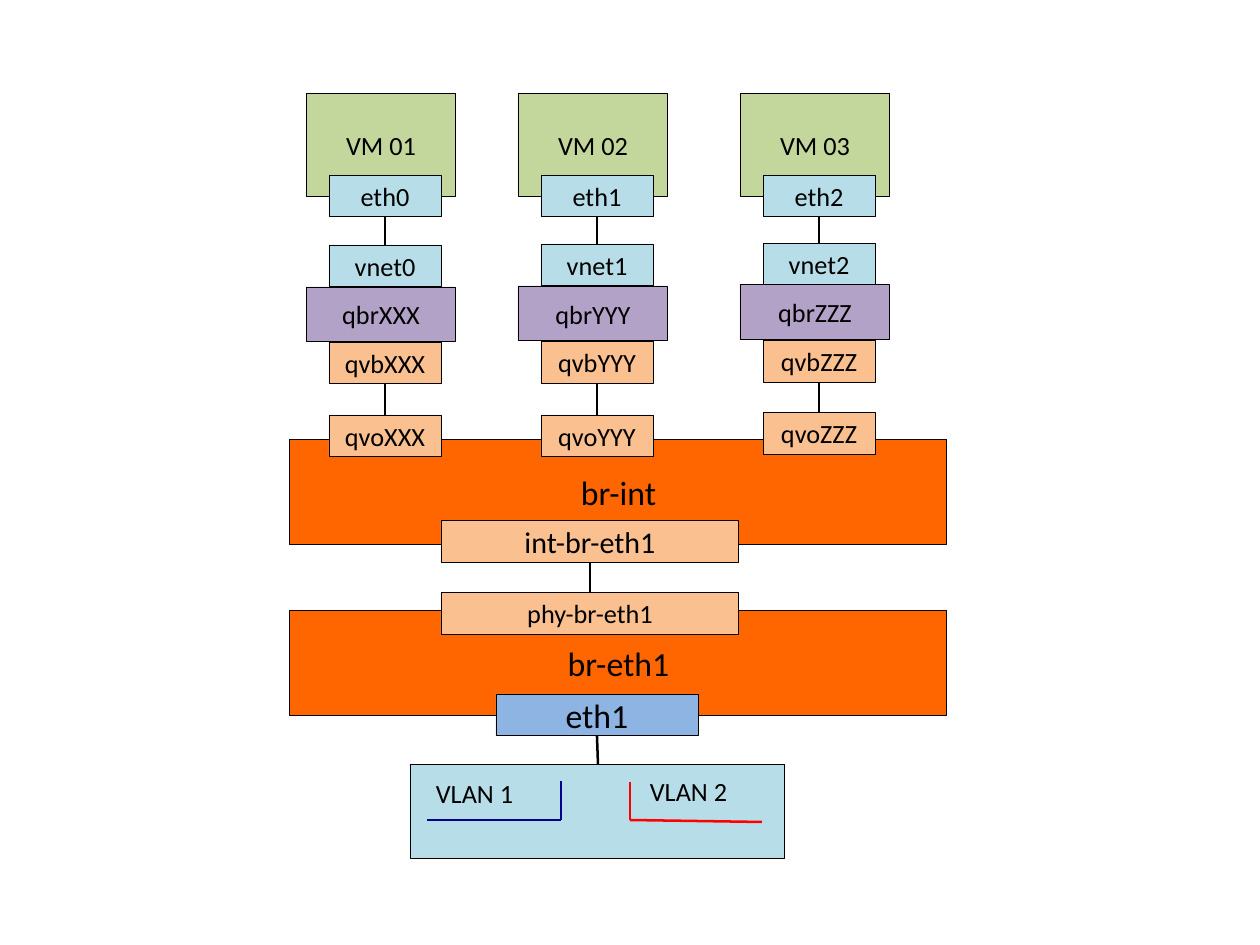
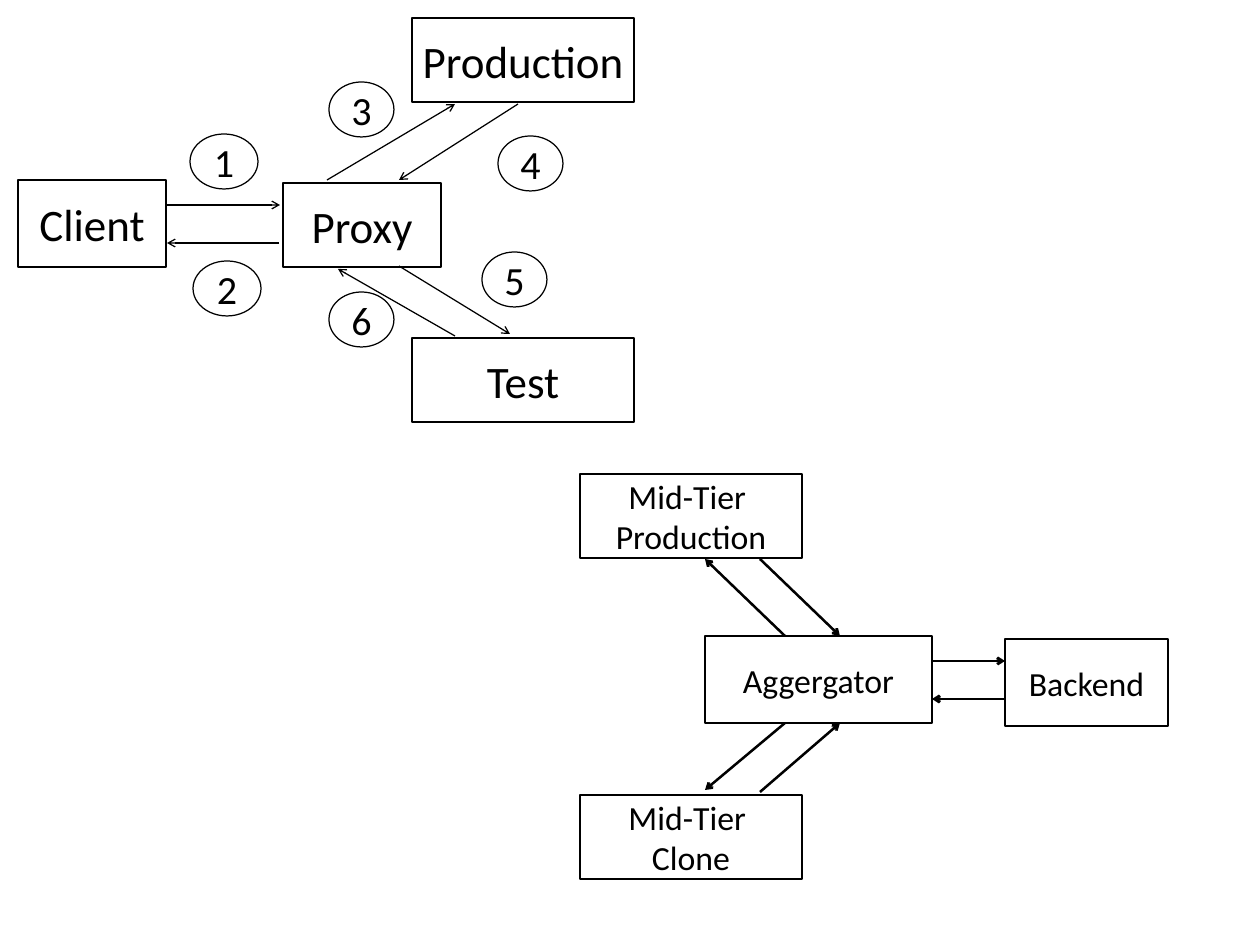
"""Build two network diagrams: virtual bridges, and request mirroring."""
import pptx
import pptx.util
from lxml import etree
from pptx.dml.color import RGBColor
from pptx.enum.shapes import MSO_CONNECTOR, MSO_SHAPE
from pptx.enum.text import MSO_ANCHOR, PP_ALIGN
from pptx.oxml.ns import qn

PX = 914400 // 90
FONT = "Calibri"
BLACK = RGBColor(0x00, 0x00, 0x00)
ORANGE = RGBColor(0xFF, 0x66, 0x00)
PEACH = RGBColor(0xFA, 0xC0, 0x90)
BLUE = RGBColor(0x8E, 0xB4, 0xE3)
PALE_BLUE = RGBColor(0xB7, 0xDE, 0xE8)
PURPLE = RGBColor(0xB3, 0xA2, 0xC7)
GREEN = RGBColor(0xC3, 0xD6, 0x9B)
NAVY = RGBColor(0x00, 0x00, 0x90)
RED = RGBColor(0xFF, 0x00, 0x00)

PORT_H = 42
BRIDGES = [("br-eth1", 610), ("br-int", 439)]
BRIDGE_PORTS = [
    ("int-br-eth1", 441, 520, 298, PEACH, 24),
    ("phy-br-eth1", 441, 592, 298, PEACH, 21),
    ("eth1", 496, 694, 202, BLUE, 27),
]
UPLINKS = [(590, 562, 590, 592), (597, 736, 598, 764)]
VMS = [(306, "XXX", 415), (518, "YYY", 415), (740, "ZZZ", 412)]
VLANS = [
    ("VLAN 1", 427, 773, NAVY, [(561, 781), (561, 820), (427, 820)]),
    ("VLAN 2", 641, 771, RED, [(630, 782), (630, 820), (762, 822)]),
]

PROXY_BOXES = [
    ("Client", 18, 180, 148, 87),
    ("Proxy", 283, 183, 158, 84),
    ("Production", 412, 18, 222, 84),
    ("Test", 412, 338, 222, 84),
]
PROXY_ARROWS = [
    (167, 205, 280, 205), (327, 180, 455, 104), (399, 266, 510, 334),
    (518, 104, 399, 180), (455, 336, 338, 269), (279, 243, 167, 243),
]
STEPS = [
    ("1", 190, 134, 68), ("2", 193, 261, 68), ("3", 329, 82, 65),
    ("4", 498, 136, 65), ("5", 482, 252, 65), ("6", 329, 292, 65),
]
TIER_BOXES = [
    ("Aggergator", 705, 636, 227, 87),
    ("Mid-Tier \nProduction", 580, 474, 222, 84),
    ("Mid-Tier \nClone", 580, 795, 222, 84),
    ("Backend", 1005, 639, 163, 87),
]
TIER_ARROWS = [
    (785, 636, 705, 559), (932, 661, 1005, 661), (1005, 699, 932, 699),
    (760, 559, 840, 636), (785, 723, 705, 790), (760, 792, 840, 723),
]


def emu(*lengths):
    return [pptx.util.Emu(v * PX) for v in lengths]


def write(shape, text, size, align):
    tf = shape.text_frame
    tf.word_wrap = True
    tf.text = text
    for p in tf.paragraphs:
        p.alignment = align
        for r in p.runs:
            r.font.name = FONT
            r.font.size = pptx.util.Pt(size)
            r.font.color.rgb = BLACK


def box(s, text, x, y, w, h, size=21, fill=None, line=0.75, kind=MSO_SHAPE.RECTANGLE):
    sp = s.shapes.add_shape(kind, *emu(x, y, w, h))
    sp.shadow.inherit = False
    if fill is None:
        sp.fill.background()
    else:
        sp.fill.solid()
        sp.fill.fore_color.rgb = fill
    sp.line.color.rgb = BLACK
    sp.line.width = pptx.util.Pt(line)
    if text:
        tf = sp.text_frame
        tf.margin_left = tf.margin_right = 0
        tf.vertical_anchor = MSO_ANCHOR.MIDDLE
        write(sp, text, size, PP_ALIGN.CENTER)


def wire(s, ends, color=BLACK, width=2, arrow=False):
    c = s.shapes.add_connector(MSO_CONNECTOR.STRAIGHT, *emu(*ends))
    c.line.color.rgb = color
    c.line.width = pptx.util.Pt(width)
    if arrow:
        etree.SubElement(c.line._get_or_add_ln(), qn("a:tailEnd"), type="arrow")
    etree.SubElement(c._element.spPr, qn("a:effectLst"))


def vm_column(s, i, x, suffix, qvo_top):
    port_x, port_w, w = x + 23, 112, 150
    mid = port_x + port_w // 2
    eth_top, vnet_top, qbr_top, qvb_top = 175, 245 - i, 287 - i, 342 - i
    box(s, f"qvo{suffix}", port_x, qvo_top, port_w, PORT_H, fill=PEACH)
    box(s, f"qvb{suffix}", port_x, qvb_top, port_w, PORT_H, fill=PEACH)
    box(s, f"qbr{suffix}", x, qbr_top, w, 55, fill=PURPLE)
    box(s, f"vnet{i}", port_x, vnet_top, port_w, PORT_H, fill=PALE_BLUE)
    box(s, f"VM 0{i + 1}", x, 93, w, 103, fill=GREEN)
    box(s, f"eth{i}", port_x, eth_top, port_w, PORT_H, fill=PALE_BLUE)
    wire(s, (mid, qvb_top + PORT_H, mid, qvo_top))
    wire(s, (mid, eth_top + PORT_H, mid, vnet_top))


def bridge_slide(s):
    for name, y in BRIDGES:
        box(s, name, 290, y, 657, 105, 27, ORANGE)
    for name, x, y, w, fill, size in BRIDGE_PORTS:
        box(s, name, x, y, w, PORT_H, size, fill)
    for ends in UPLINKS:
        wire(s, ends)
    for i, (x, suffix, qvo_top) in enumerate(VMS):
        vm_column(s, i, x, suffix, qvo_top)
    box(s, "", 410, 764, 375, 94, fill=PALE_BLUE)
    for name, x, y, color, points in VLANS:
        for start, end in zip(points, points[1:]):
            wire(s, start + end, color)
        write(s.shapes.add_textbox(*emu(x, y, 114, 41)), name, 21, PP_ALIGN.LEFT)


def mirror_slide(s):
    for boxes, arrows, size, line in (
        (PROXY_BOXES, PROXY_ARROWS, 36, 1),
        (TIER_BOXES, TIER_ARROWS, 27, 2),
    ):
        for text, x, y, w, h in boxes:
            box(s, text, x, y, w, h, size, line=line)
        for ends in arrows:
            wire(s, ends, width=line, arrow=True)
    for number, x, y, w in STEPS:
        box(s, number, x, y, w, 55, 32, line=1, kind=MSO_SHAPE.OVAL)


def main():
    prs = pptx.Presentation()
    prs.slide_width, prs.slide_height = emu(1260, 945)
    for draw in (bridge_slide, mirror_slide):
        draw(prs.slides.add_slide(prs.slide_layouts[6]))
    prs.save("out.pptx")


if __name__ == "__main__":
    main()
